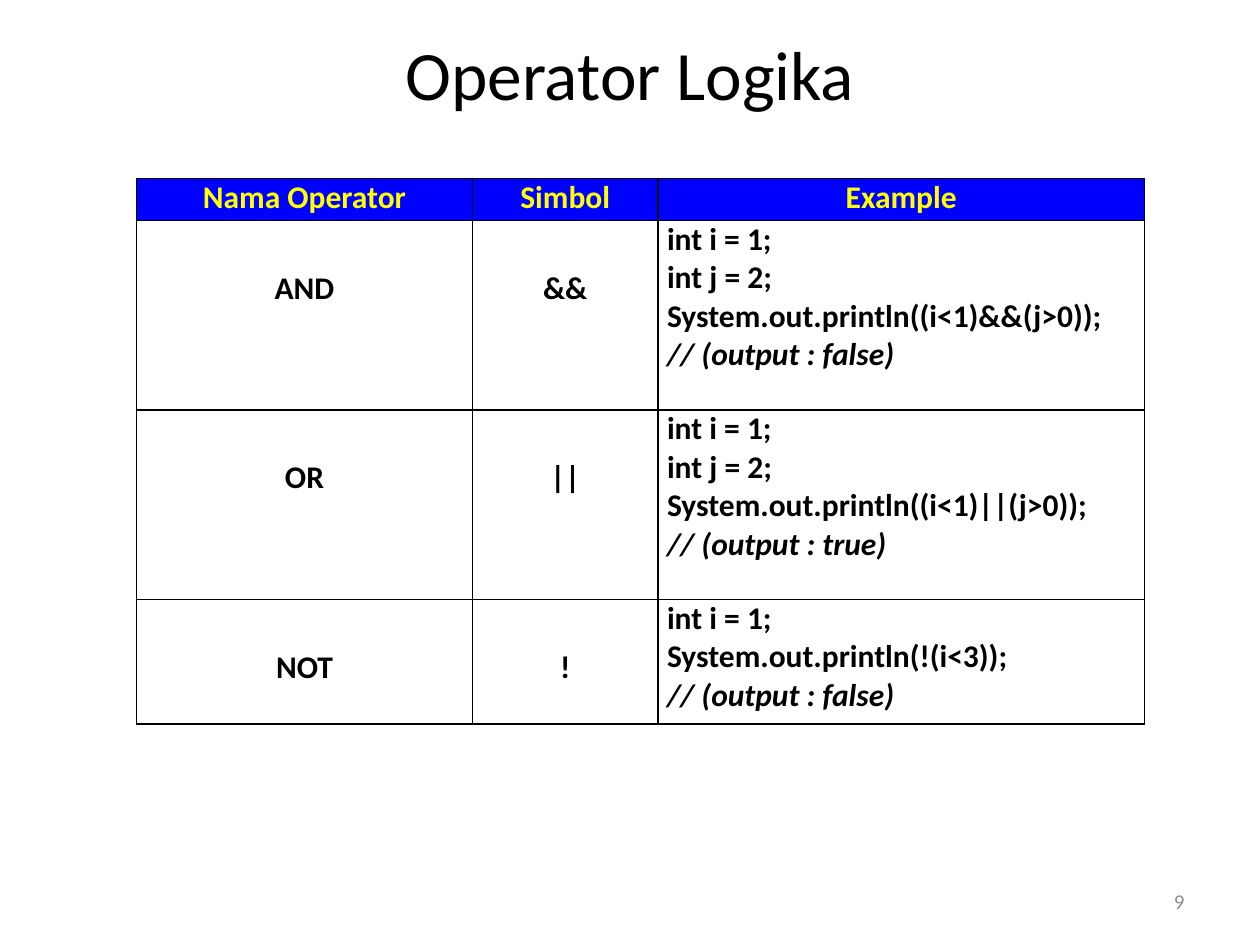
"""Build a slide with a table of the logical operators."""
import pptx
import pptx.dml.color
import pptx.enum.text
import pptx.oxml
import pptx.oxml.ns
import pptx.util

Pt = pptx.util.Pt
RGB = pptx.dml.color.RGBColor.from_string
ALIGN = pptx.enum.text.PP_ALIGN
ANCHOR = pptx.enum.text.MSO_ANCHOR

THEME = {
    "font": "Calibri",
    "ink": "000000", "number": "8C8C8C", "header": "FFFF00", "header_fill": "0000FF",
    "title_size": 39.6, "body_size": 18, "number_size": 12, "border": 1,
}


def write(tf, lines, align, size, color, bold=False):
    """Write one paragraph per line, with code comments in italics."""
    for i, line in enumerate(lines):
        p = tf.paragraphs[0] if i == 0 else tf.add_paragraph()
        p.alignment = align
        r = p.add_run()
        r.text = line
        font = {"name": THEME["font"], "size": Pt(size), "bold": bold,
                "italic": line.startswith("//")}
        for name, value in font.items():
            setattr(r.font, name, value)
        r.font.color.rgb = RGB(color)


def add_borders(cell):
    """Draw a thin line on all four sides of a cell."""
    tcPr = cell._tc.get_or_add_tcPr()
    for i, side in enumerate(("lnL", "lnR", "lnT", "lnB")):
        tcPr.insert(i, pptx.oxml.parse_xml(
            f'<a:{side} {pptx.oxml.ns.nsdecls("a")} w="{Pt(THEME["border"])}">'
            f'<a:solidFill><a:srgbClr val="{THEME["ink"]}"/></a:solidFill></a:{side}>'))


prs = pptx.Presentation()
prs.slide_width, prs.slide_height = Pt(720), Pt(540)
slide = prs.slides.add_slide(prs.slide_layouts[6])

texts = [
    ("Operator Logika", (36, 18, 648, 90), ANCHOR.TOP, ALIGN.CENTER, "title_size", "ink"),
    ("9", (516, 500.5, 168, 28.75), ANCHOR.MIDDLE, ALIGN.RIGHT, "number_size", "number"),
]
for text, box, anchor, align, size, color in texts:
    tf = slide.shapes.add_textbox(*map(Pt, box)).text_frame
    frame = {"word_wrap": True, "vertical_anchor": anchor, "margin_top": 0, "margin_bottom": 0}
    for name, value in frame.items():
        setattr(tf, name, value)
    write(tf, [text], align, THEME[size], THEME[color])

rows = [
    (["Nama Operator"], ["Simbol"], ["Example"]),
    (["AND"], ["&&"], ["int i = 1;", "int j = 2;", "System.out.println((i<1)&&(j>0));",
                       "// (output : false)"]),
    (["OR"], ["||"], ["int i = 1;", "int j = 2;", "System.out.println((i<1)||(j>0));",
                      "// (output : true)"]),
    (["NOT"], ["!"], ["int i = 1;", "System.out.println(!(i<3));", "// (output : false)"]),
]
widths = [192, 106, 278]
heights = [24, 108.3, 108.3, 71.2]

table = slide.shapes.add_table(len(rows), len(widths), Pt(78), Pt(102),
                               Pt(sum(widths)), Pt(sum(heights))).table
table.first_row = table.horz_banding = False
for column, width in zip(table.columns, widths):
    column.width = Pt(width)

for i, (row, height) in enumerate(zip(rows, heights)):
    table.rows[i].height = Pt(height)
    for j, lines in enumerate(row):
        cell = table.cell(i, j)
        header, code = i == 0, i > 0 and j == 2
        margins = {"margin_left": 5.2, "margin_right": 5.2, "margin_bottom": 0,
                   "margin_top": 0 if header or code else 28}
        for name, value in margins.items():
            setattr(cell, name, Pt(value))
        if header:
            cell.fill.solid()
            cell.fill.fore_color.rgb = RGB(THEME["header_fill"])
        else:
            cell.fill.background()
        add_borders(cell)
        write(cell.text_frame, lines, ALIGN.JUSTIFY if code else ALIGN.CENTER,
              THEME["body_size"], THEME["header" if header else "ink"], bold=True)

prs.save("out.pptx")
